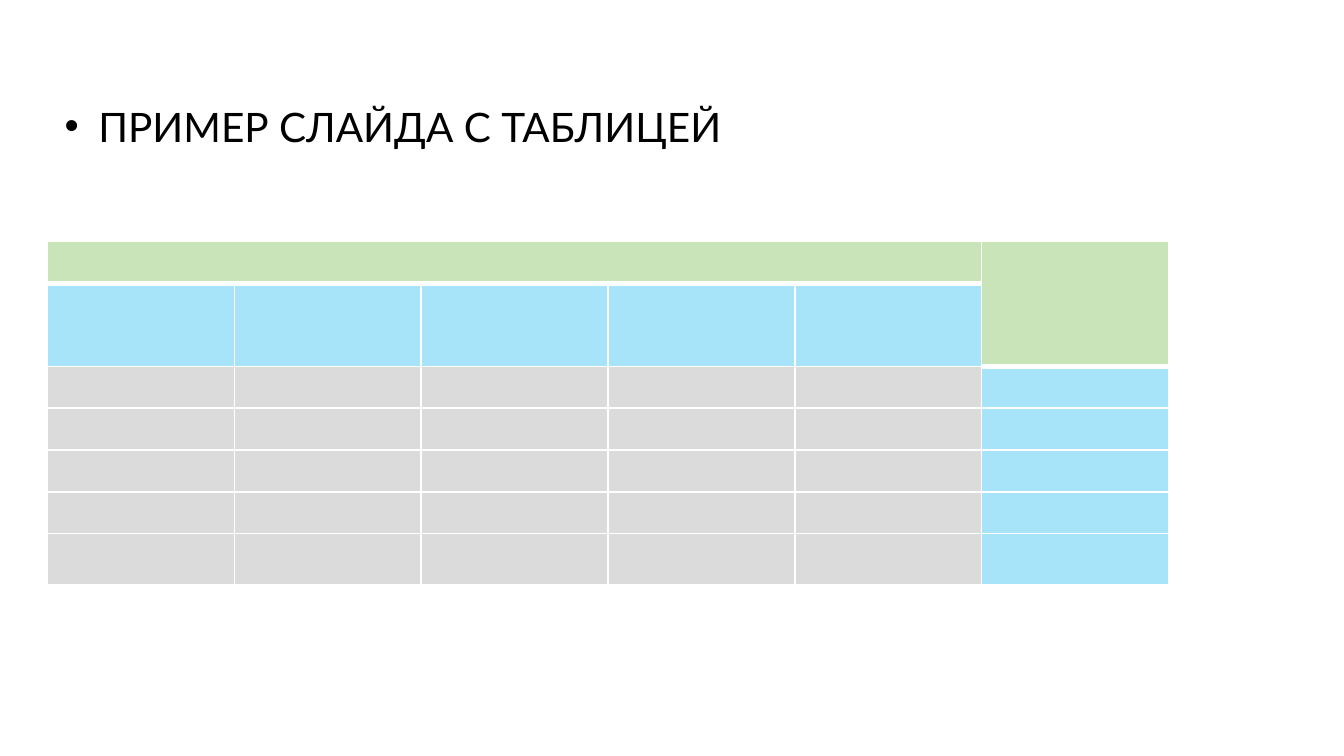
from lxml.etree import SubElement
from pptx import Presentation
from pptx.dml.color import RGBColor
from pptx.oxml.ns import qn
from pptx.util import Cm, Pt


def rgb(value):
    return RGBColor.from_string(value)


def add_border(tc_pr, side, width):
    ln = SubElement(tc_pr, qn(f"a:ln{side}"), w=str(Pt(width)))
    SubElement(SubElement(ln, qn("a:solidFill")), qn("a:srgbClr"), val="FFFFFF")


GREEN, BLUE, GRAY = ("6BB640", 37), ("00B0F0", 34), ("595959", 21)
ROW_HEIGHTS = [0.8, 1.57, 0.79, 0.79, 0.79, 0.79, 0.97]
COL_WIDTH = 3.53
COLS = 6

prs = Presentation()
prs.slide_width, prs.slide_height = Cm(25.4), Cm(14.28)
s = prs.slides.add_slide(prs.slide_layouts[6])

frame = s.shapes.add_table(len(ROW_HEIGHTS), COLS, Cm(0.9), Cm(4.55),
                           Cm(COL_WIDTH * COLS), Cm(sum(ROW_HEIGHTS)))
table = frame.table
for col in table.columns:
    col.width = Cm(COL_WIDTH)
for row, height in zip(table.rows, ROW_HEIGHTS):
    row.height = Cm(height)

for i in range(len(ROW_HEIGHTS)):
    for j in range(COLS):
        cell = table.cell(i, j)
        last_col = j == COLS - 1
        header_rows = 2 if last_col else 1
        if i < header_rows:
            color, alpha = GREEN
        elif last_col or i == 1:
            color, alpha = BLUE
        else:
            color, alpha = GRAY
        cell.margin_top = cell.margin_bottom = 0
        tc_pr = cell._tc.get_or_add_tcPr()
        for side in "LR":
            add_border(tc_pr, side, 1)
        add_border(tc_pr, "T", 3 if i == header_rows else 1)
        add_border(tc_pr, "B", 3 if i < header_rows else 1)
        cell.fill.solid()
        cell.fill.fore_color.rgb = rgb(color)
        SubElement(tc_pr.find(qn("a:solidFill"))[0], qn("a:alpha"), val=str(alpha * 1000))
        SubElement(cell.text_frame.paragraphs[0]._p, qn("a:endParaRPr"), sz="1200")

table.cell(0, 0).merge(table.cell(0, COLS - 2))
table.cell(0, COLS - 1).merge(table.cell(1, COLS - 1))

sp = s.shapes.add_textbox(Cm(0.97), Cm(1.98), Cm(23.72), Cm(1.02))
tf = sp.text_frame
tf.word_wrap = True
p = tf.paragraphs[0]
p.text = "ПРИМЕР СЛАЙДА С ТАБЛИЦЕЙ"
p.line_spacing = 0.8
p_pr = p._p.get_or_add_pPr()
p_pr.set("marL", str(Cm(0.64)))
p_pr.set("indent", str(Cm(-0.64)))
SubElement(p_pr, qn("a:buFont"), typeface="Arial")
SubElement(p_pr, qn("a:buChar"), char="•")
r = p.runs[0]
r.font.name = "Lato"
r.font.size = Pt(21.7)
r.font.color.rgb = rgb("000000")

prs.save("out.pptx")
